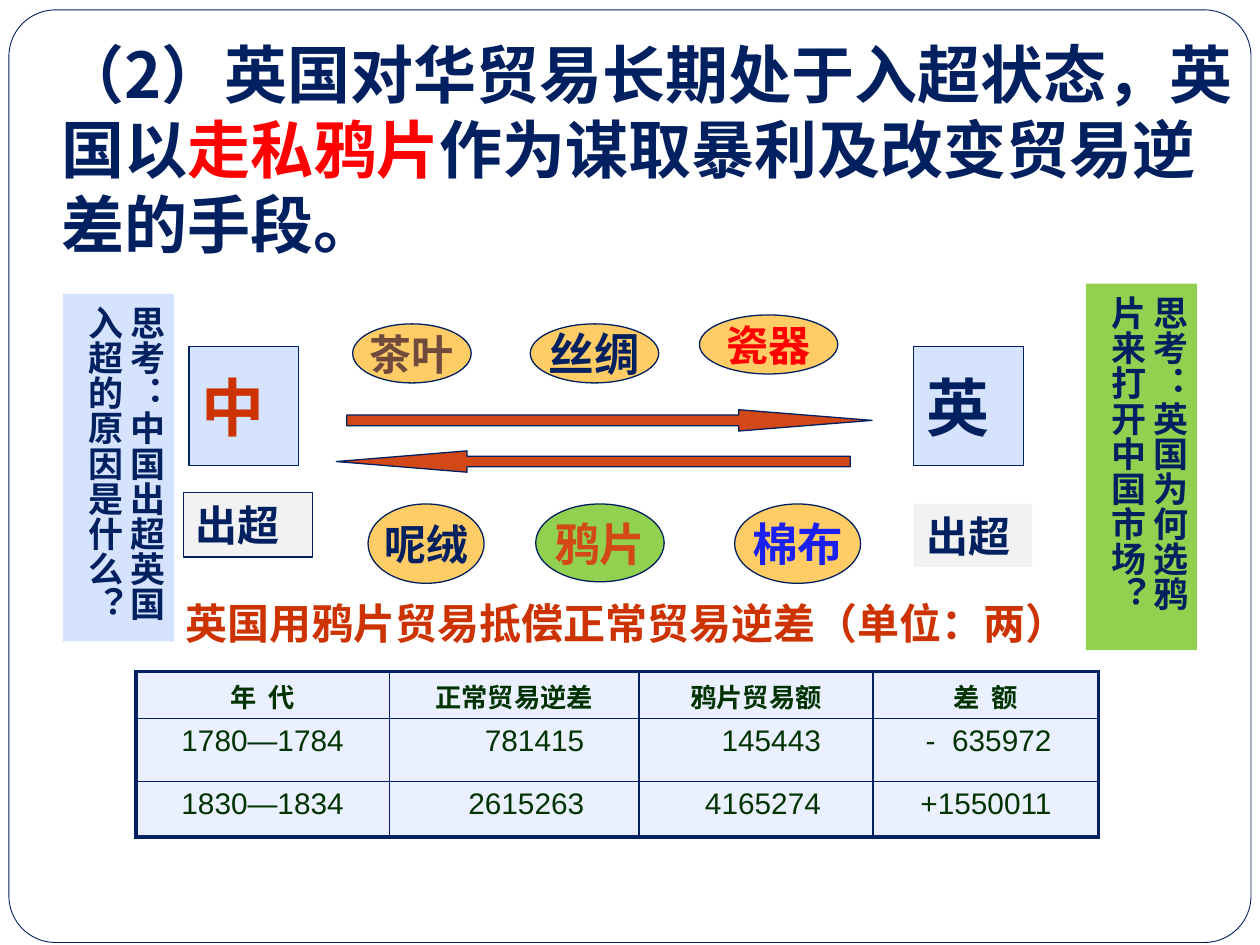
from lxml import etree
from pptx import Presentation
from pptx.dml.color import RGBColor
from pptx.enum.shapes import MSO_SHAPE
from pptx.enum.text import MSO_ANCHOR, PP_ALIGN
from pptx.oxml.ns import qn
from pptx.util import Cm, Pt

RECT, ELLIPSE, ROUNDED = MSO_SHAPE.RECTANGLE, MSO_SHAPE.OVAL, MSO_SHAPE.ROUNDED_RECTANGLE
RIGHT_ARROW, LEFT_ARROW = MSO_SHAPE.RIGHT_ARROW, MSO_SHAPE.LEFT_ARROW
LEFT, CENTER, RIGHT = PP_ALIGN.LEFT, PP_ALIGN.CENTER, PP_ALIGN.RIGHT
TOP, MIDDLE, BOTTOM = MSO_ANCHOR.TOP, MSO_ANCHOR.MIDDLE, MSO_ANCHOR.BOTTOM

WHITE = RGBColor(0xFF, 0xFF, 0xFF)
NAVY = RGBColor(0x00, 0x20, 0x60)
PALE_BLUE = RGBColor(0xD6, 0xE3, 0xFF)
PALE_GREY = RGBColor(0xF2, 0xF2, 0xF2)
AMBER = RGBColor(0xFF, 0xCC, 0x66)
LIME = RGBColor(0x92, 0xD0, 0x50)
ORANGE = RGBColor(0xD3, 0x48, 0x17)
BRICK = RGBColor(0xCC, 0x33, 0x00)
RED = RGBColor(0xFF, 0x00, 0x00)
BROWN = RGBColor(0x70, 0x4A, 0x3D)
BLUE = RGBColor(0x1A, 0x1F, 0xF2)
DARK_GREEN = RGBColor(0x00, 0x33, 0x00)

SERIF, SANS = "Times New Roman", "Arial"
CJK_JP, CJK_SC = "Noto Sans CJK JP", "Noto Sans CJK SC"

prs = Presentation()
prs.slide_width, prs.slide_height = Cm(25.4), Cm(19.05)
slide = prs.slides.add_slide(prs.slide_layouts[6])


def add_box(kind, box, fill, line=None, weight=0.75):
    shape = slide.shapes.add_shape(kind, *map(Cm, box))
    shape.shadow.inherit = False
    shape.fill.solid()
    shape.fill.fore_color.rgb = fill
    if line is None:
        shape.line.fill.background()
    else:
        shape.line.color.rgb = line
        shape.line.width = Pt(weight)
    return shape


def write(frame, parts, size, font, align=CENTER, bold=True):
    """Fill the first paragraph with (text, colour) parts."""
    paragraph = frame.paragraphs[0]
    paragraph.alignment = align
    for text, color in parts:
        run = paragraph.add_run()
        run.text = text
        run.font.size, run.font.bold, run.font.name = Pt(size), bold, font
        run.font.color.rgb = color
        east_asian = etree.SubElement(run.font._element, qn("a:ea"))
        east_asian.set("typeface", font if font == CJK_JP else CJK_SC)
    return paragraph


# Page frame
page_frame = add_box(ROUNDED, (0.18, 0.2, 25.04, 18.8), WHITE, NAVY, 0.5)
page_frame.adjustments[0] = 0.05

# Title
title = slide.shapes.add_textbox(Cm(0.99), Cm(0.74), Cm(24.41), Cm(4.65)).text_frame
title.word_wrap = True
title.vertical_anchor = BOTTOM
title_line = write(title, [
    ("（2）英国对华贸易长期处于入超状态，英国以", NAVY),
    ("走私鸦片", RED),
    ("作为谋取暴利及改变贸易逆差的手段。", NAVY),
], 36, CJK_JP, LEFT)
title_line.line_spacing = Pt(43)

# Countries and their trade balance
for text, size, color, box, fill, line in [
    ("中", 36, BRICK, (3.81, 6.99, 2.21, 2.39), PALE_BLUE, NAVY),
    ("英", 36, NAVY, (18.42, 6.99, 2.21, 2.39), PALE_BLUE, NAVY),
    ("出超", 24, NAVY, (3.7, 9.93, 2.6, 1.3), PALE_GREY, NAVY),
    ("出超", 24, NAVY, (18.42, 10.16, 2.39, 1.27), PALE_GREY, None),
]:
    label = add_box(RECT, box, fill, line).text_frame
    label.word_wrap = True
    label.vertical_anchor = MIDDLE
    write(label, [(text, color)], size, SERIF, LEFT)

# Trade flow arrows
for kind, box, head in [
    (RIGHT_ARROW, (6.99, 8.26, 10.59, 0.43), 6.25),
    (LEFT_ARROW, (6.78, 9.09, 10.36, 0.43), 6.13),
]:
    flow = add_box(kind, box, ORANGE, NAVY)
    flow.adjustments[0], flow.adjustments[1] = 0.5, head

# Traded goods
for text, size, color, fill, box in [
    ("茶叶", 24, BROWN, AMBER, (7.11, 6.53, 2.39, 1.19)),
    ("丝绸", 26, NAVY, AMBER, (10.69, 6.53, 2.59, 1.19)),
    ("瓷器", 24, RED, AMBER, (14.1, 6.35, 2.79, 1.19)),
    ("呢绒", 24, NAVY, AMBER, (7.42, 10.16, 2.34, 1.6)),
    ("鸦片", 26, ORANGE, LIME, (10.8, 10.16, 2.59, 1.57)),
    ("棉布", 26, BLUE, AMBER, (14.81, 10.16, 2.54, 1.6)),
]:
    goods = add_box(ELLIPSE, box, fill, NAVY).text_frame
    goods.word_wrap = False
    goods.vertical_anchor = MIDDLE
    write(goods, [(text, color)], size, SERIF)

# Vertical questions
for text, fill, box in [
    ("思考：中国出超英国入超的原因是什么？", PALE_BLUE, (1.27, 5.92, 2.24, 7.01)),
    ("思考：英国为何选鸦片来打开中国市场？", LIME, (21.89, 5.72, 2.24, 7.39)),
]:
    question = add_box(RECT, box, fill).text_frame
    question.word_wrap = True
    question.vertical_anchor = TOP
    question.margin_left = question.margin_right = Cm(0.13)
    question.margin_top = question.margin_bottom = Cm(0.25)
    question._txBody.bodyPr.set("vert", "eaVert")
    write(question, [(text, NAVY)], 20, CJK_JP, LEFT).line_spacing = Pt(24)

# Table caption
caption = slide.shapes.add_textbox(Cm(3.1), Cm(11.91), Cm(19.05), Cm(1.27)).text_frame
caption.word_wrap = True
caption.vertical_anchor = MIDDLE
write(caption, [("英国用鸦片贸易抵偿正常贸易逆差（单位：两）", BRICK)], 24, CJK_JP)

# Trade table
rows = [
    ("年  代", "正常贸易逆差", "鸦片贸易额", "差  额"),
    ("1780—1784", "781415", "145443", "-  635972"),
    ("1830—1834", "2615263", "4165274", "+1550011"),
]
column_widths = (5.11, 5.03, 4.72, 4.55)
row_heights = (0.94, 1.27, 1.12)
number_margins = (0.25, 1.1, 1.05, 0.95)
trade = slide.shapes.add_table(3, 4, Cm(2.74), Cm(13.54), Cm(19.41), Cm(3.33)).table
trade.first_row = trade.horz_banding = False
for column, width in zip(trade.columns, column_widths):
    column.width = Cm(width)
for row, height in zip(trade.rows, row_heights):
    row.height = Cm(height)

for r, values in enumerate(rows):
    for c, value in enumerate(values):
        cell = trade.cell(r, c)
        header = r == 0
        if header:
            cell.margin_top, cell.margin_bottom = Cm(0.1), Cm(0)
        elif c > 0:
            cell.margin_right = Cm(number_margins[c])
        write(cell.text_frame, [(value, DARK_GREEN)], 15 if header else 17,
              CJK_SC if header else SANS, CENTER if header or c == 0 else RIGHT, header)
        cell.fill.solid()
        cell.fill.fore_color.rgb = PALE_BLUE
        properties = cell._tc.get_or_add_tcPr()
        etree.SubElement(properties.find(".//" + qn("a:srgbClr")), qn("a:alpha")).set("val", "50000")
        # Thick outer border, thin inner lines
        outer = (c == 0, c == 3, r == 0, r == 2)
        for i, (side, is_outer) in enumerate(zip("LRTB", outer)):
            border = etree.Element(qn("a:ln" + side), w=str(Pt(2.25 if is_outer else 1)))
            border_fill = etree.SubElement(border, qn("a:solidFill"))
            etree.SubElement(border_fill, qn("a:srgbClr"), val=str(NAVY))
            properties.insert(i, border)

prs.save("out.pptx")
